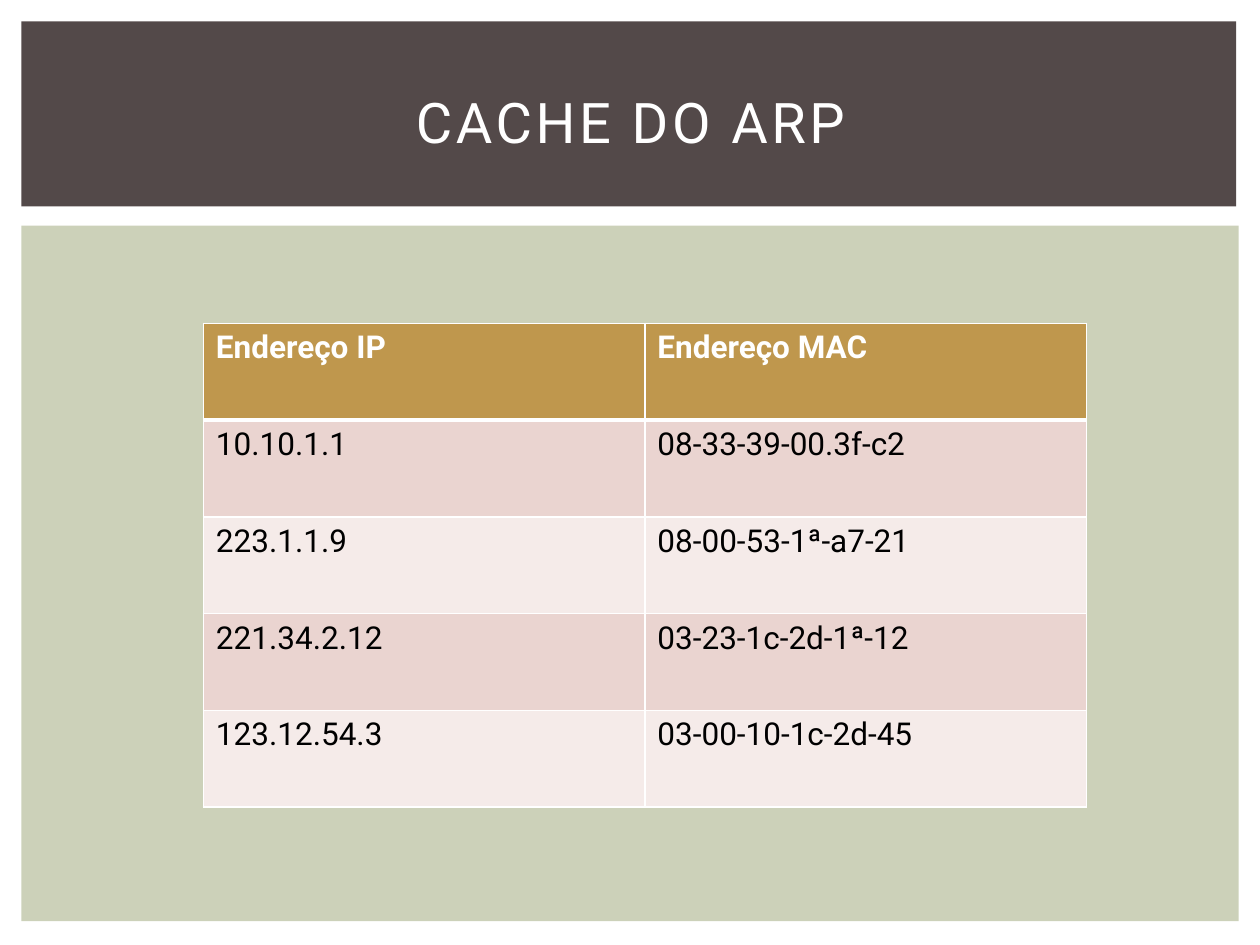
import pptx
import pptx.util
import pptx.dml.color
import pptx.enum.shapes
import pptx.enum.text
from lxml import etree
from pptx.oxml.ns import qn
from pptx.util import Cm, Pt

FONT = "Roboto"
TITLE = "CACHE DO ARP"
ROWS = [
    ("Endereço IP", "Endereço MAC"),
    ("10.10.1.1", "08-33-39-00.3f-c2"),
    ("223.1.1.9", "08-00-53-1ª-a7-21"),
    ("221.34.2.12", "03-23-1c-2d-1ª-12"),
    ("123.12.54.3", "03-00-10-1c-2d-45"),
]
# left, top, width, height in cm, fill
PANELS = [
    (0.43, 4.55, 24.54, 14.02, "CCD1B9"),
    (0.43, 0.43, 24.49, 3.73, "534949"),
]
HEADER_FILL = "BF974D"
BAND_FILLS = ("EAD4D0", "F5EBE9")
COL_WIDTH, ROW_HEIGHT = Cm(8.9), Cm(1.95)


def rgb(value):
    return pptx.dml.color.RGBColor.from_string(value)


def style(p, size, color, bold=False):
    p.font.name = FONT
    p.font.size = Pt(size)
    p.font.bold = bold
    p.font.color.rgb = rgb(color)


def add_border(cell, side, points, color="FFFFFF"):
    """Draw one cell border; call before the fill, which must follow it."""
    ln = etree.SubElement(cell._tc.get_or_add_tcPr(), qn(f"a:ln{side}"), w=str(Pt(points)))
    fill = etree.SubElement(ln, qn("a:solidFill"))
    etree.SubElement(fill, qn("a:srgbClr"), val=color)


def add_panels(s):
    for left, top, width, height, color in PANELS:
        sp = s.shapes.add_shape(pptx.enum.shapes.MSO_SHAPE.RECTANGLE,
                                Cm(left), Cm(top), Cm(width), Cm(height))
        sp.shadow.inherit = False
        sp.fill.solid()
        sp.fill.fore_color.rgb = rgb(color)
        sp.line.fill.background()


def set_title(s):
    title = s.shapes.title
    s.shapes._spTree.append(title._element)  # in front of the panels
    title.left, title.top, title.width, title.height = Cm(1.07), Cm(0.99), Cm(23.29), Cm(2.92)
    tf = title.text_frame
    tf.text = TITLE
    tf.vertical_anchor = pptx.enum.text.MSO_ANCHOR.MIDDLE
    p = tf.paragraphs[0]
    p.alignment = pptx.enum.text.PP_ALIGN.CENTER
    style(p, 32, "FFFFFF")
    p.runs[0].font._element.set("spc", "200")


def add_cache_table(s):
    n_rows, n_cols = len(ROWS), len(ROWS[0])
    table = s.shapes.add_table(n_rows, n_cols, Cm(4.1), Cm(6.52),
                               COL_WIDTH * n_cols, ROW_HEIGHT * n_rows).table
    for column in table.columns:
        column.width = COL_WIDTH
    for i, texts in enumerate(ROWS):
        table.rows[i].height = ROW_HEIGHT
        header = i == 0
        for j, text in enumerate(texts):
            cell = table.cell(i, j)
            cell.text = text
            style(cell.text_frame.paragraphs[0], 18, "FFFFFF" if header else "000000", header)
            for side in "LRTB":
                thick = (header and side == "B") or (i == 1 and side == "T")
                add_border(cell, side, 3 if thick else 1)
            cell.fill.solid()
            cell.fill.fore_color.rgb = rgb(HEADER_FILL if header else BAND_FILLS[(i - 1) % 2])


def main():
    prs = pptx.Presentation()
    prs.slide_width, prs.slide_height = Cm(25.4), Cm(19.05)
    s = prs.slides.add_slide(prs.slide_layouts[5])
    add_panels(s)
    set_title(s)
    add_cache_table(s)
    prs.save("out.pptx")


if __name__ == "__main__":
    main()
